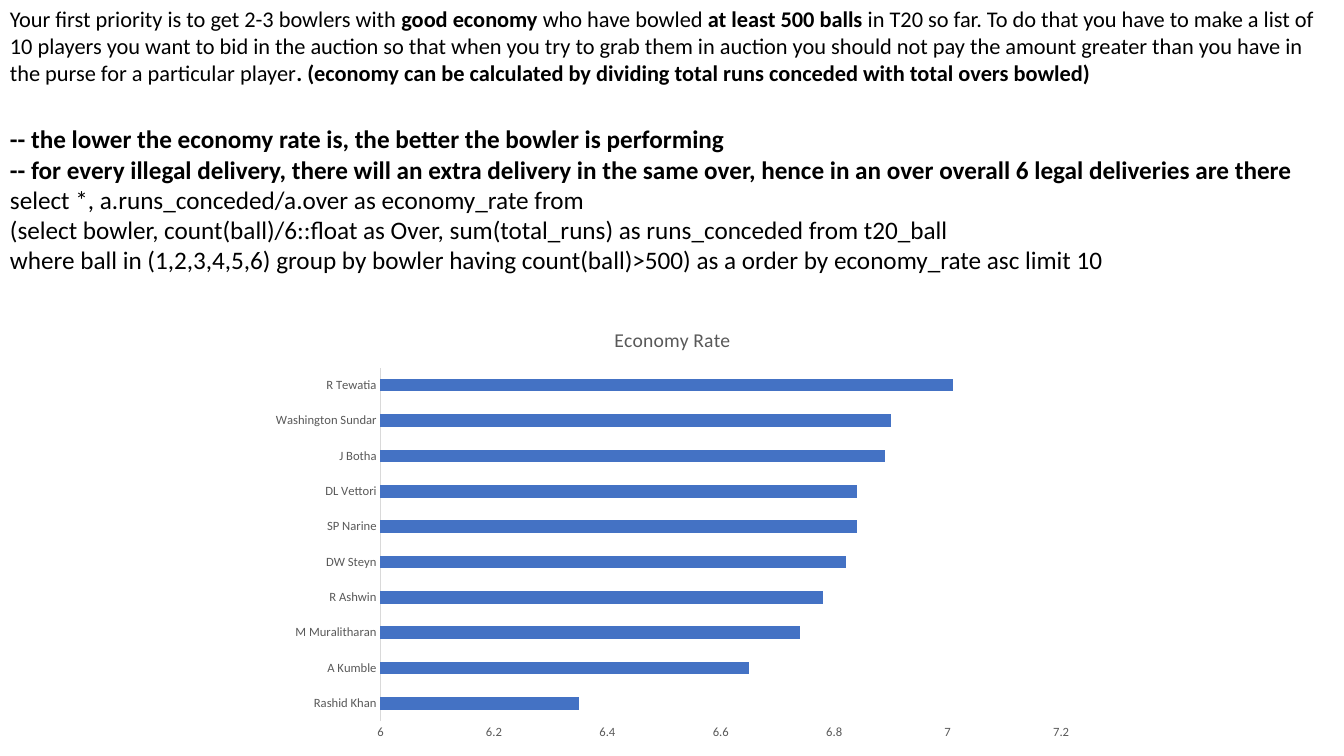
from dataclasses import dataclass

from pptx import Presentation
from pptx import util as u
from pptx.chart.data import CategoryChartData
from pptx.dml.color import RGBColor
from pptx.enum import chart as charts
from pptx.enum import text

EMU_PER_PX = 9525
BLANK_LAYOUT = 6


@dataclass(frozen=True)
class Theme:
    font: str = "Calibri"
    ink: str = "000000"
    muted: str = "595959"
    axis_line: str = "D9D9D9"
    bar: str = "4472C4"
    brief_size: int = 16
    query_size: int = 18
    title_size: int = 14
    axis_size: int = 9


@dataclass(frozen=True)
class Box:
    left: int
    top: int
    width: int
    height: int

    def emu(self) -> list[int]:
        return [px(n) for n in (self.left, self.top, self.width, self.height)]


@dataclass(frozen=True)
class Piece:
    words: str
    bold: bool = False


@dataclass(frozen=True)
class TextBlock:
    box: Box
    size: int
    paragraphs: list[list[Piece]]


@dataclass(frozen=True)
class Bowler:
    name: str
    economy: float


THEME = Theme()

BRIEF = TextBlock(Box(0, 0, 1280, 113), THEME.brief_size, [[
    Piece("Your first priority is to get 2-3 bowlers with "),
    Piece("good economy ", True),
    Piece("who have bowled "),
    Piece("at least 500 balls ", True),
    Piece("in T20 so far. To do that you have to make a list of 10 players you want to bid "
          "in the auction so that when you try to grab them in auction you should not pay "
          "the amount greater than you have in the purse for a particular player"),
    Piece(". (economy can be calculated by dividing total runs conceded with total overs "
          "bowled)", True),
]])

QUERY = TextBlock(Box(0, 113, 1280, 156), THEME.query_size, [
    [Piece("-- the lower the economy rate is, the better the bowler is performing", True)],
    [Piece("-- for every illegal delivery, there will an extra delivery in the same over, "
           "hence in an over overall 6 legal deliveries are there", True)],
    [Piece("select *, a.runs_conceded/a.over as economy_rate from")],
    [Piece("(select bowler, count(ball)/6::float as Over, sum(total_runs) as runs_conceded "
           "from t20_ball")],
    [Piece("where ball in (1,2,3,4,5,6) group by bowler having count(ball)>500) as a "
           "order by economy_rate asc limit 10")],
])

CHART_BOX = Box(247, 294, 787, 419)
BOWLERS = [
    Bowler("Rashid Khan", 6.35),
    Bowler("A Kumble", 6.65),
    Bowler("M Muralitharan", 6.74),
    Bowler("R Ashwin", 6.78),
    Bowler("DW Steyn", 6.82),
    Bowler("SP Narine", 6.84),
    Bowler("DL Vettori", 6.84),
    Bowler("J Botha", 6.89),
    Bowler("Washington Sundar", 6.9),
    Bowler("R Tewatia", 7.01),
]


def px(count: int) -> u.Emu:
    return u.Emu(count * EMU_PER_PX)


def style_font(font, size: int, color: str, bold: bool = False) -> None:
    font.name = THEME.font
    font.size = u.Pt(size)
    font.bold = bold
    font.color.rgb = RGBColor.from_string(color)


def add_text_block(slide, block: TextBlock) -> None:
    frame = slide.shapes.add_textbox(*block.box.emu()).text_frame
    frame.word_wrap = True
    frame.auto_size = text.MSO_AUTO_SIZE.NONE
    for index, pieces in enumerate(block.paragraphs):
        paragraph = frame.add_paragraph() if index else frame.paragraphs[0]
        for piece in pieces:
            run = paragraph.add_run()
            run.text = piece.words
            style_font(run.font, block.size, THEME.ink, piece.bold)


def style_axis(axis) -> None:
    axis.has_major_gridlines = False
    axis.major_tick_mark = charts.XL_TICK_MARK.NONE
    axis.minor_tick_mark = charts.XL_TICK_MARK.NONE
    style_font(axis.tick_labels.font, THEME.axis_size, THEME.muted)


def add_economy_chart(slide, box: Box, bowlers: list[Bowler]) -> None:
    data = CategoryChartData(number_format="General")
    data.categories = [bowler.name for bowler in bowlers]
    data.add_series("Series 1", [bowler.economy for bowler in bowlers])
    chart = slide.shapes.add_chart(
        charts.XL_CHART_TYPE.BAR_CLUSTERED, *box.emu(), data).chart
    chart.has_legend = False
    style_font(chart.font, 10, THEME.ink)

    chart.has_title = True
    chart.chart_title.include_in_layout = False
    title_run = chart.chart_title.text_frame.paragraphs[0].add_run()
    title_run.text = "Economy Rate"
    style_font(title_run.font, THEME.title_size, THEME.muted)

    names, rates = chart.category_axis, chart.value_axis
    for axis in (names, rates):
        style_axis(axis)
    names.format.line.color.rgb = RGBColor.from_string(THEME.axis_line)
    names.format.line.width = u.Pt(0.75)
    rates.format.line.fill.background()
    rates.minimum_scale, rates.maximum_scale, rates.major_unit = 6, 7.2, 0.2

    plot = chart.plots[0]
    plot.gap_width = 182
    plot.vary_by_categories = False
    fill = plot.series[0].format.fill
    fill.solid()
    fill.fore_color.rgb = RGBColor.from_string(THEME.bar)


def main() -> None:
    presentation = Presentation()
    presentation.slide_width, presentation.slide_height = px(1280), px(720)
    slide = presentation.slides.add_slide(presentation.slide_layouts[BLANK_LAYOUT])
    for block in (BRIEF, QUERY):
        add_text_block(slide, block)
    add_economy_chart(slide, CHART_BOX, BOWLERS)
    presentation.save("out.pptx")


if __name__ == "__main__":
    main()
